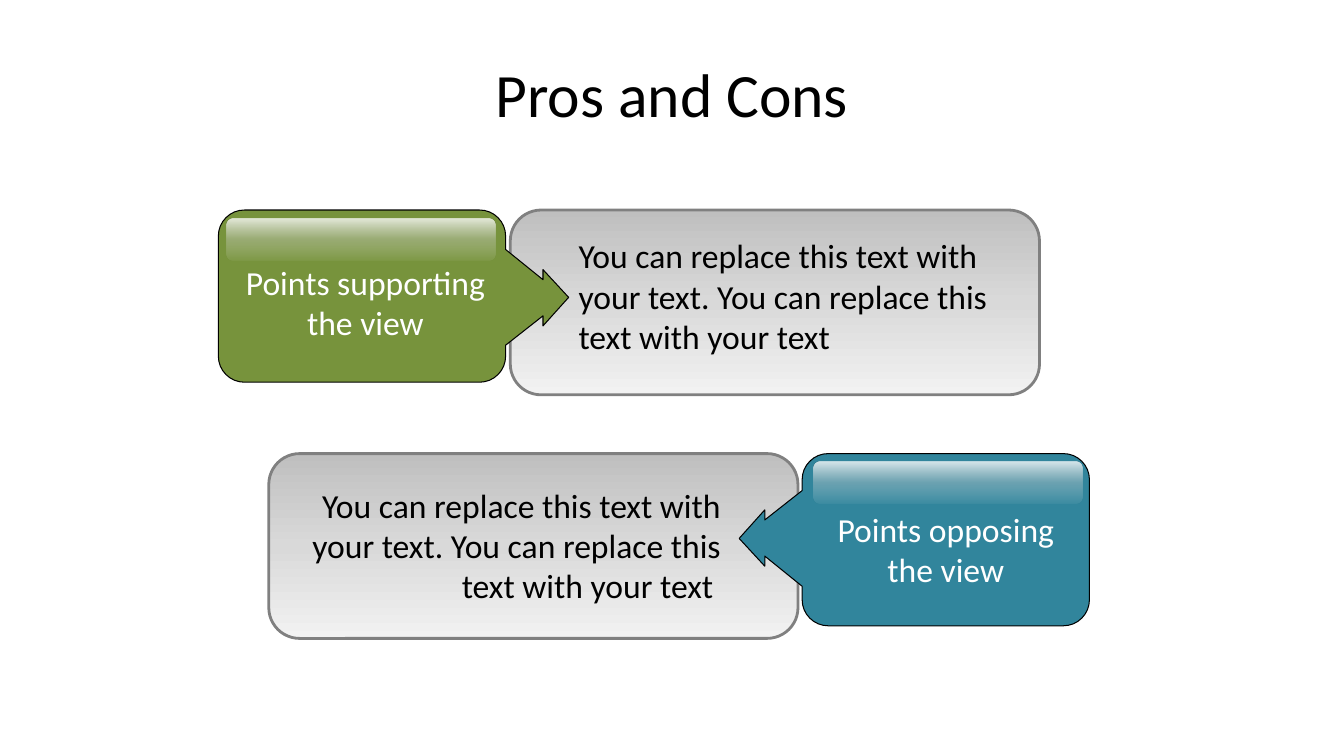
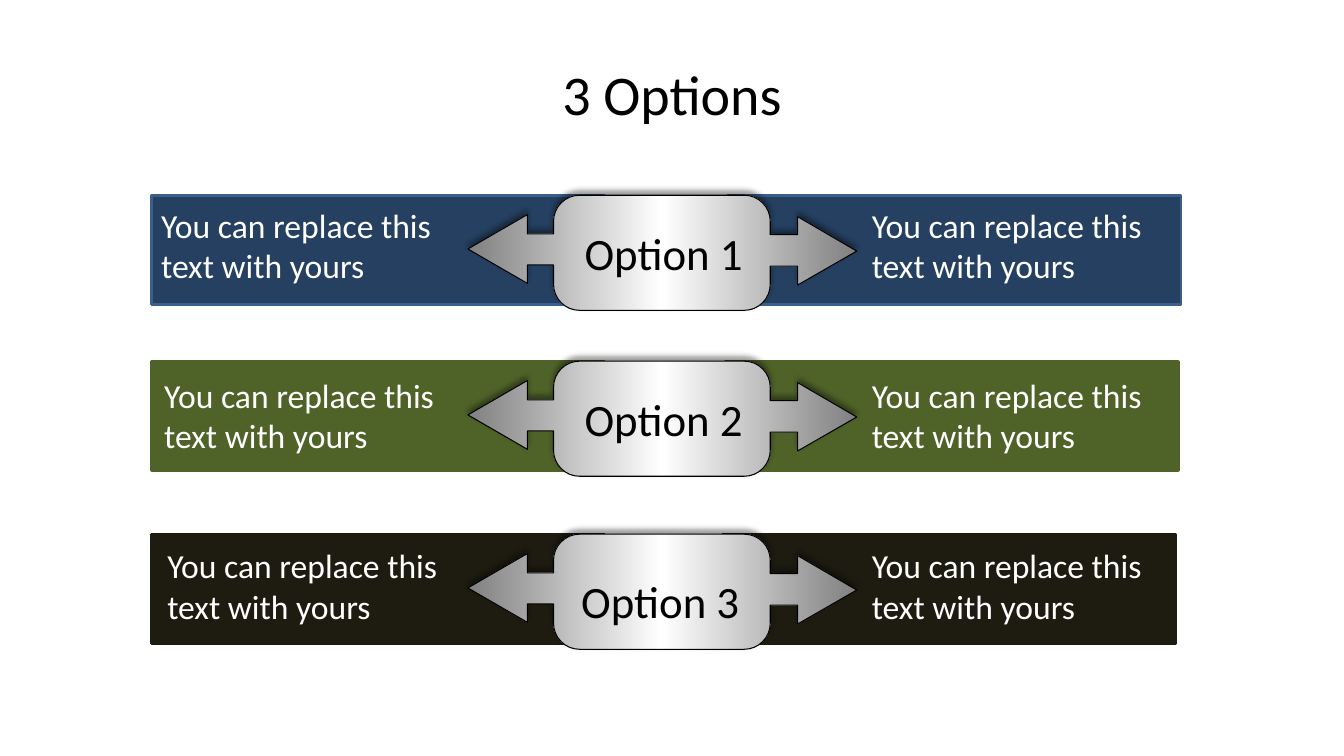
import math

import lxml.etree
import pptx
import pptx.dml.color
import pptx.enum.shapes
import pptx.enum.text
import pptx.oxml.ns
import pptx.util

COLS, ROWS = 160, 90
HUES = {
    "black": "000000", "white": "FFFFFF", "edge": "808080",
    "dark": "BFBFBF", "mid": "D9D9D9", "pale": "F2F2F2",
    "green": "77933C", "teal": "31859C",
    "navy": "254061", "blue": "3A5F8C", "olive": "4F6228", "coal": "1E1C11",
}
PANEL = [(0, "dark", 100), (50, "mid", 100), (100, "pale", 100)]
GLOSS = [(0, "white", 81), (50, "mid", 35), (100, "pale", 5)]
METAL = [(0, "edge", 100), (50, "white", 100), (100, "edge", 100)]
ALIGN = pptx.enum.text.PP_ALIGN
LEFT, MID, RIGHT = ALIGN.LEFT, ALIGN.CENTER, ALIGN.RIGHT
KIND = pptx.enum.shapes.MSO_SHAPE


def arc(x, y, turn, radius=3.1, steps=8):
    angles = [math.radians(turn + 90 * i / steps) for i in range(steps + 1)]
    return [(x + radius * math.cos(a), y - radius * math.sin(a)) for a in angles]


def round_box(left, right, base, radius=3.1):
    near, far = left + radius, right - radius
    top = arc(far, radius, 0) + arc(near, radius, 90)
    low = arc(near, base - radius, 180) + arc(far, base - radius, 270)
    return top, low


def badge_path():
    top, low = round_box(0, 34.2, 20.5)
    head = [(41.7, 10.4), (38.65, 7.1), (38.65, 8.3), (34.2, 4.7)]
    return head + top + low + [(34.2, 16.1), (38.65, 12.6), (38.65, 13.8)]


def arrow_path():
    top, low = round_box(10.2, 36, 13.7)
    east = [(46.3, 6.65), (39.25, 2.55), (39.25, 4.7), (36, 4.7)]
    west = [(10.2, 4.6), (7.1, 4.6), (7.1, 2.3), (0, 6.4),
            (7.1, 10.5), (7.1, 8.3), (10.2, 8.3)]
    return east + top + west + low + [(36, 8.45), (39.25, 8.45), (39.25, 10.7)]


class Deck:
    font = "Calibri"

    def __init__(self):
        self.show = pptx.Presentation()
        self.show.slide_width = pptx.util.Inches(13.33)
        self.show.slide_height = pptx.util.Inches(7.5)
        self.slide = None

    def col(self, count):
        return round(self.show.slide_width * count / COLS)

    def row(self, count):
        return round(self.show.slide_height * count / ROWS)

    def area(self, x, y, w, h):
        return self.col(x), self.row(y), self.col(w), self.row(h)

    def hue(self, name):
        return pptx.dml.color.RGBColor.from_string(HUES[name])

    def node(self, root, tag, **attrs):
        item = lxml.etree.SubElement(root, pptx.oxml.ns.qn("a:" + tag))
        for key, value in attrs.items():
            item.set(key, str(value))
        return item

    def tint(self, root, name, alpha):
        color = self.node(root, "srgbClr", val=HUES[name])
        if alpha < 100:
            self.node(color, "alpha", val=alpha * 1000)

    def page(self, title, size):
        self.slide = self.show.slides.add_slide(self.show.slide_layouts[6])
        box = self.text(title, 8, 3.6, 144, 15, size=size, align=MID)
        box.text_frame.vertical_anchor = pptx.enum.text.MSO_ANCHOR.MIDDLE

    def text(self, words, x, y, w, h, size=24, align=LEFT, hue="black"):
        box = self.slide.shapes.add_textbox(*self.area(x, y, w, h))
        box.text_frame.word_wrap = True
        box.text_frame.text = words
        line = box.text_frame.paragraphs[0]
        line.alignment = align
        for run in line.runs:
            run.font.name = self.font
            run.font.size = pptx.util.Pt(size)
            run.font.color.rgb = self.hue(hue)
        return box

    def paint(self, shape, fill, edge=None, width=0, angle=0):
        shape.shadow.inherit = False
        if isinstance(fill, str):
            shape.fill.solid()
            shape.fill.fore_color.rgb = self.hue(fill)
        else:
            shape.fill.gradient()
            shape.fill.gradient_angle = -angle % 360
            stops = next(shape.element.spPr.iter(pptx.oxml.ns.qn("a:gsLst")))
            stops.clear()
            for place, name, alpha in fill:
                self.tint(self.node(stops, "gs", pos=place * 1000), name, alpha)
        if edge:
            shape.line.color.rgb = self.hue(edge)
            shape.line.width = pptx.util.Pt(width)
        else:
            shape.line.fill.background()

    def box(self, kind, x, y, w, h, fill, edge=None):
        shape = self.slide.shapes.add_shape(kind, *self.area(x, y, w, h))
        self.paint(shape, fill, edge, 2, 90)

    def form(self, points, x, y, fill, glow=False):
        spots = [(self.col(x + px), self.row(y + py)) for px, py in points]
        pen = self.slide.shapes.build_freeform(*spots[0])
        pen.add_line_segments(spots[1:], close=True)
        shape = pen.convert_to_shape()
        self.paint(shape, fill, "black")
        if glow:
            root = shape.element.spPr.find(pptx.oxml.ns.qn("a:effectLst"))
            shade = self.node(root, "outerShdw", blurRad=pptx.util.Pt(4),
                              dist=pptx.util.Pt(3), dir=270 * 60000,
                              algn="b", rotWithShape=0)
            self.tint(shade, "black", 40)

    def panel(self, x, y):
        self.box(KIND.ROUNDED_RECTANGLE, x, y, 63, 22, PANEL, "edge")

    def gloss(self, x, y):
        self.box(KIND.ROUNDED_RECTANGLE, x, y, 32, 5, GLOSS)


def pros(deck):
    deck.page("Pros and Cons", 44)
    words = "You can replace this text with your text. You can replace this text with your text"
    badge = badge_path()
    turned = [(41.7 - x, 20.5 - y) for x, y in badge]

    deck.panel(60.75, 25)
    deck.text(words, 67.7, 27.4, 53.3, 15.7)
    deck.panel(32, 54)
    deck.text(words + " ", 35, 57.1, 52, 15.7, align=RIGHT)

    deck.form(badge, 26, 25, "green")
    deck.gloss(27, 26)
    deck.text("Points supporting the view", 27, 30.6, 33, 10.9, align=MID, hue="white")
    deck.form(turned, 88, 54, "teal")
    deck.gloss(96.9, 55)
    deck.text("Points opposing the view", 98.2, 60, 28.8, 10.9, align=MID, hue="white")


def options(deck):
    deck.page("3 Options", 40)
    words = "You can replace this text with yours"
    arrow = arrow_path()
    bands = [
        ("navy", "blue", 23.25, 0.5, 3, 60),
        ("olive", "olive", 43, 1, 3, 60),
        ("coal", "coal", 63.6, 0.7, 4.1, 59.6),
    ]
    for i, (fill, edge, top, drop, sink, start) in enumerate(bands):
        for x, text_x in ((18, 18 + 0.37 * i), (86.6 - 0.3 * i, 102.6)):
            deck.box(KIND.RECTANGLE, x, top, 54, 13, fill, edge)
            deck.text(words, text_x, top + drop, 38, 10.9, hue="white")
        deck.form(arrow, 55.7, top, METAL, glow=True)
        deck.text(f"Option {i + 1}", start, top + sink, 38, 7.7, size=32, align=MID)


def main():
    deck = Deck()
    pros(deck)
    options(deck)
    deck.show.save("out.pptx")


if __name__ == "__main__":
    main()
